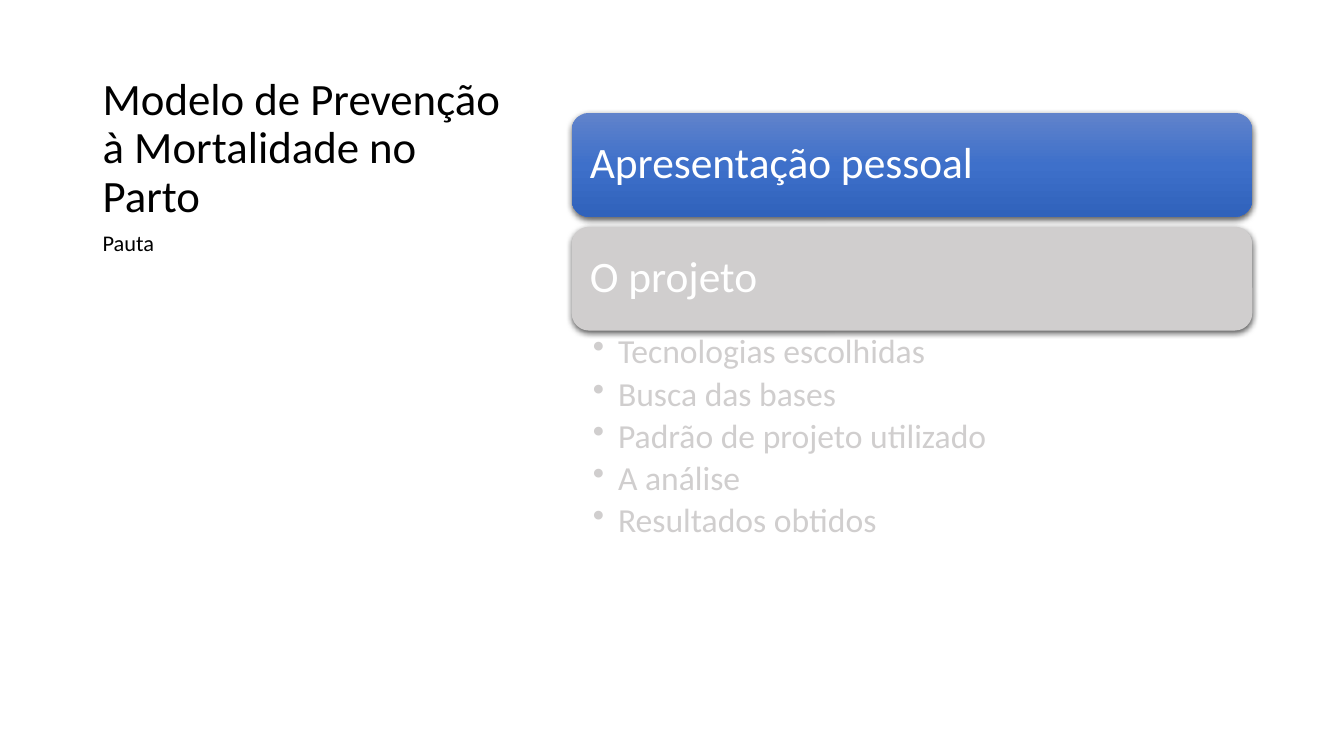
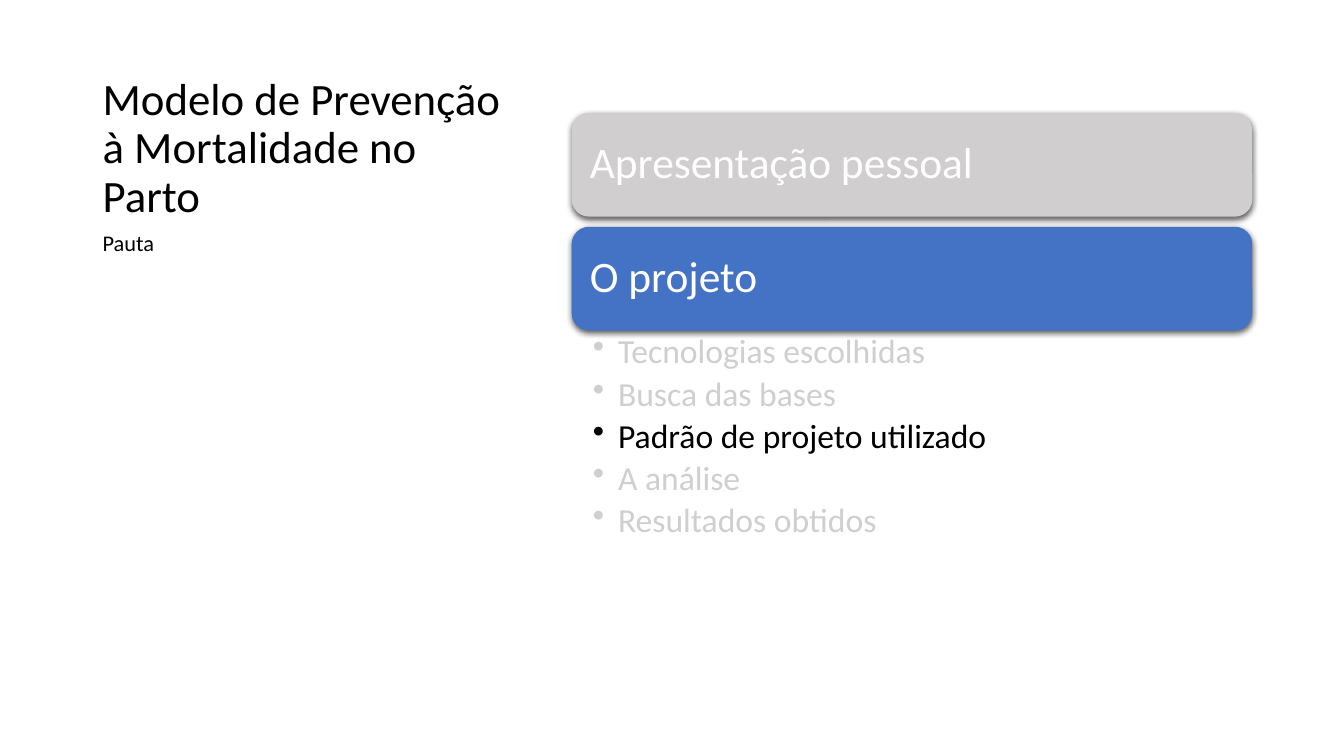
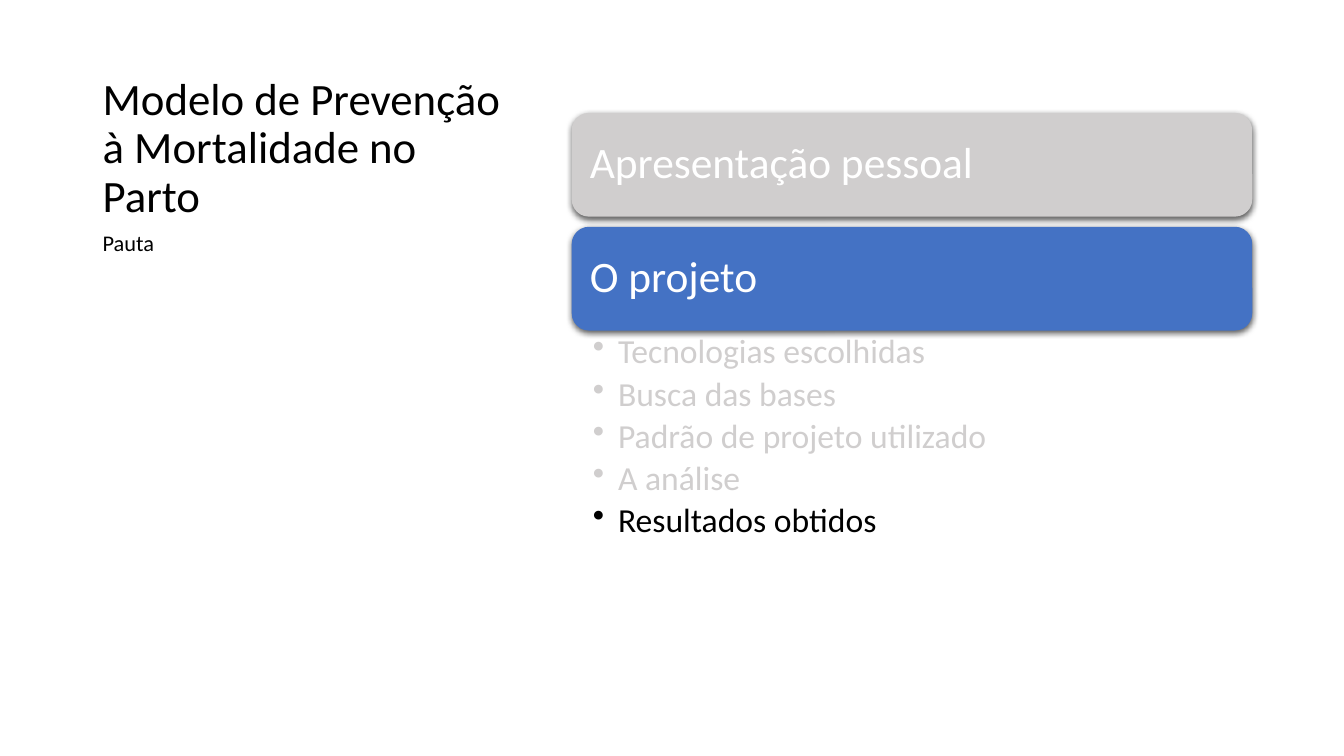
from copy import deepcopy

from lxml import etree
from pptx import Presentation
from pptx.dml.color import RGBColor
from pptx.enum.shapes import MSO_SHAPE
from pptx.enum.text import MSO_ANCHOR, PP_ALIGN
from pptx.oxml.ns import qn
from pptx.util import Inches, Pt

ROUNDED = MSO_SHAPE.ROUNDED_RECTANGLE
TOP, MIDDLE, BOTTOM = MSO_ANCHOR.TOP, MSO_ANCHOR.MIDDLE, MSO_ANCHOR.BOTTOM
LEFT = PP_ALIGN.LEFT

FONT = "Calibri"
COLORS = {
    "text": "000000",
    "bar_text": "FFFFFF",
    "muted": "D0CECE",
    "active": "4472C4",
    "gradient_top": "6183CB",
    "gradient_middle": "3E70CA",
    "gradient_bottom": "3062BB",
}

TITLE = "Modelo de Prevenção à Mortalidade no Parto"
SUBTITLE = "Pauta"
SECTIONS = ["Apresentação pessoal", "O projeto"]
TOPICS = [
    "Tecnologias escolhidas",
    "Busca das bases",
    "Padrão de projeto utilizado",
    "A análise",
    "Resultados obtidos",
]

# Fill of each section bar and the highlighted topic, slide by slide
AGENDA_STEPS = [
    (["gradient", "muted"], None),
    (["muted", "active"], "Padrão de projeto utilizado"),
    (["muted", "active"], "Resultados obtidos"),
]

# Agenda column
COLUMN_LEFT, COLUMN_WIDTH = 5.67, 6.75
BAR_TOP, BAR_HEIGHT, BAR_GAP = 1.12, 1.03, 0.1
BAR_PITCH = BAR_HEIGHT + BAR_GAP


def rgb(name):
    return RGBColor.from_string(COLORS[name])


def set_frame(text_frame, anchor, margins):
    """Wrap the text and set margins as left, top, right, bottom."""
    text_frame.word_wrap = True
    text_frame.vertical_anchor = anchor
    left, top, right, bottom = (Inches(margin) for margin in margins)
    text_frame.margin_left, text_frame.margin_top = left, top
    text_frame.margin_right, text_frame.margin_bottom = right, bottom


def write_paragraph(paragraph, text, size, color, before=0, after=0):
    paragraph.text = text
    paragraph.alignment = LEFT
    paragraph.line_spacing = 0.9
    paragraph.space_before = Pt(before)
    paragraph.space_after = Pt(after)
    for run in paragraph.runs:
        run.font.name = FONT
        run.font.size = Pt(size)
        run.font.color.rgb = rgb(color)


def add_bullet(paragraph, indent):
    properties = paragraph._p.get_or_add_pPr()
    properties.set("marL", str(Inches(indent)))
    properties.set("indent", str(-Inches(indent)))
    etree.SubElement(properties, qn("a:buChar"), char="•")


def add_shadow(shape):
    shape.shadow.inherit = False
    effects = shape._element.spPr.find(qn("a:effectLst"))
    shadow = etree.SubElement(
        effects, qn("a:outerShdw"), blurRad=str(Pt(4.5)), dist=str(Pt(1.5)),
        dir="5400000", algn="ctr", rotWithShape="0")
    color = etree.SubElement(shadow, qn("a:srgbClr"), val=COLORS["text"])
    etree.SubElement(color, qn("a:alpha"), val="63000")


def fill_gradient(shape):
    """Three-stop gradient running from top to bottom."""
    shape.fill.gradient()
    shape.fill.gradient_angle = 270
    stop_list = shape._element.spPr.find(".//" + qn("a:gsLst"))
    stop_list.insert(1, deepcopy(stop_list[0]))
    names = ["gradient_top", "gradient_middle", "gradient_bottom"]
    for index, (stop, name) in enumerate(zip(shape.fill.gradient_stops, names)):
        stop.position = index / 2
        stop.color.rgb = rgb(name)


def add_text(slide, text, top, height, size, anchor, before=0):
    box = slide.shapes.add_textbox(
        Inches(0.92), Inches(top), Inches(4.3), Inches(height))
    set_frame(box.text_frame, anchor, (0.1, 0.05, 0.1, 0.05))
    write_paragraph(box.text_frame.paragraphs[0], text, size, "text", before)


def add_section_bar(slide, text, top, fill):
    bar = slide.shapes.add_shape(
        ROUNDED, Inches(COLUMN_LEFT), Inches(top),
        Inches(COLUMN_WIDTH), Inches(BAR_HEIGHT))
    if fill == "gradient":
        fill_gradient(bar)
    else:
        bar.fill.solid()
        bar.fill.fore_color.rgb = rgb(fill)
    bar.line.fill.background()
    add_shadow(bar)
    # The preset's text area is already inset by its rounded corners
    set_frame(bar.text_frame, MIDDLE, (0.13, 0.13, 0.13, 0.13))
    write_paragraph(bar.text_frame.paragraphs[0], text, 31, "bar_text")


def add_topics(slide, top, highlighted):
    box = slide.shapes.add_textbox(
        Inches(COLUMN_LEFT), Inches(top), Inches(COLUMN_WIDTH), Inches(3.09))
    text_frame = box.text_frame
    set_frame(text_frame, TOP, (0.21, 0.04, 0.24, 0.04))
    text_frame.text = "\n".join(TOPICS)
    for paragraph, topic in zip(text_frame.paragraphs, TOPICS):
        color = "text" if topic == highlighted else "muted"
        write_paragraph(paragraph, topic, 24, color, after=4.3)
        add_bullet(paragraph, 0.25)


def add_agenda_slide(presentation, bar_fills, highlighted):
    slide = presentation.slides.add_slide(presentation.slide_layouts[6])
    # Heading
    add_text(slide, TITLE, 0.5, 1.75, 32, BOTTOM)
    add_text(slide, SUBTITLE, 2.25, 4.17, 16, TOP, before=10)
    # Section bars with the topics under the last one
    for index, (section, fill) in enumerate(zip(SECTIONS, bar_fills)):
        add_section_bar(slide, section, BAR_TOP + index * BAR_PITCH, fill)
    add_topics(slide, BAR_TOP + len(SECTIONS) * BAR_PITCH - BAR_GAP, highlighted)


def main():
    presentation = Presentation()
    presentation.slide_width = Inches(13.33)
    presentation.slide_height = Inches(7.5)
    for bar_fills, highlighted in AGENDA_STEPS:
        add_agenda_slide(presentation, bar_fills, highlighted)
    presentation.save("out.pptx")


if __name__ == "__main__":
    main()
